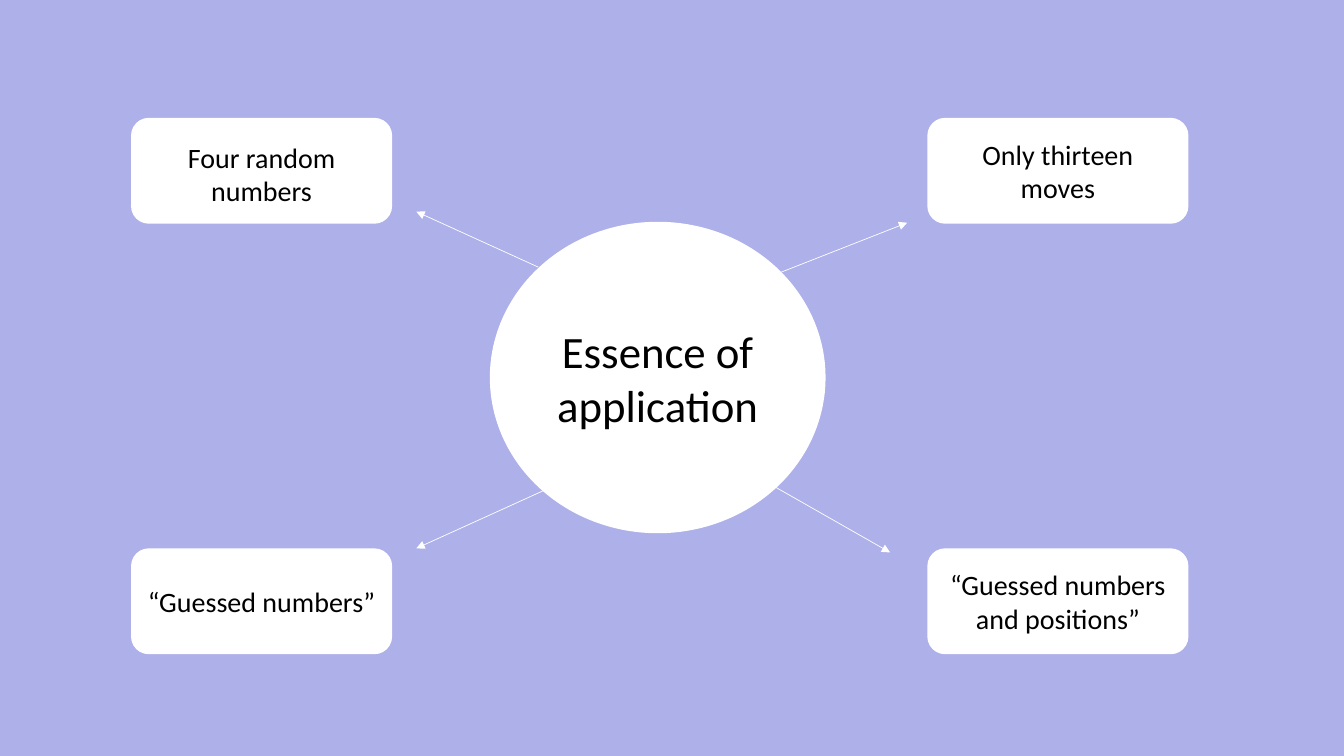
import pptx
import pptx.util
import pptx.dml.color
import pptx.enum.shapes
import pptx.enum.text
import pptx.oxml
import pptx.oxml.ns

Pt = pptx.util.Pt
SHAPE = pptx.enum.shapes.MSO_SHAPE
ANCHOR = pptx.enum.text.MSO_ANCHOR

# Content
CENTRE_TEXT = "Essence of application"
FLOATING_LABEL = "Four random numbers"
# (column, row, text); the top left box carries a separate label
BOXES = [
    (0, 0, ""),
    (1, 1, "“Guessed numbers and positions”"),
    (0, 1, "“Guessed numbers”"),
    (1, 0, "Only thirteen moves"),
]
# (start x, start y, end x, end y)
ARROWS = [
    (384.5, 190.8, 297.4, 151.2),
    (558, 194.4, 648, 159.1),
    (391, 349.2, 297.4, 391.7),
    (552.2, 347, 635.8, 394.6),
]

THEME = {
    "font": "Calibri",
    "background": "ADB0E9",
    "panel": "FFFFFF",
    "text": "000000",
    "centre_size": 32,
    "label_size": 20,
    "line_width": 0.5,
}

# Layout
SLIDE_W, SLIDE_H = 960, 540
CENTRE = (349.9, 158.4, 239.8, 222.5)
BOX_LEFT, BOX_TOP = 93.6, 84.2
BOX_W, BOX_H = 186.5, 75.6
COLUMN_STEP, ROW_STEP = 568.8, 307.5
LABEL = (110.9, 96.5, 151.9, 55.4)


def rgb(name):
    return pptx.dml.color.RGBColor.from_string(THEME[name])


def write_text(s, text, size="label_size", anchor=ANCHOR.MIDDLE):
    tf = s.text_frame
    tf.word_wrap = True
    tf.vertical_anchor = anchor
    p = tf.paragraphs[0]
    p.alignment = pptx.enum.text.PP_ALIGN.CENTER
    r = p.add_run()
    r.text = text
    r.font.name = THEME["font"]
    r.font.size = Pt(THEME[size])
    r.font.color.rgb = rgb("text")


def add_panel(sp, kind, frame):
    s = sp.add_shape(kind, *map(Pt, frame))
    s.shadow.inherit = False
    s.fill.solid()
    s.fill.fore_color.rgb = rgb("panel")
    s.line.fill.background()
    return s


def add_arrow(sp, ends):
    s = sp.add_connector(pptx.enum.shapes.MSO_CONNECTOR.STRAIGHT, *map(Pt, ends))
    s.line.color.rgb = rgb("panel")
    s.line.width = Pt(THEME["line_width"])
    qn = pptx.oxml.ns.qn
    head = s.line._get_or_add_ln().makeelement(qn("a:tailEnd"), {"type": "triangle"})
    s.line._get_or_add_ln().append(head)
    s._element.spPr.append(head.makeelement(qn("a:effectLst"), {}))


def main():
    prs = pptx.Presentation()
    prs.slide_width, prs.slide_height = Pt(SLIDE_W), Pt(SLIDE_H)
    slide = prs.slides.add_slide(prs.slide_layouts[6])
    slide.background.fill.solid()
    slide.background.fill.fore_color.rgb = rgb("background")
    sp = slide.shapes

    # Central idea
    write_text(add_panel(sp, SHAPE.OVAL, CENTRE), CENTRE_TEXT, size="centre_size")

    # Corner boxes
    for column, row, text in BOXES:
        left = BOX_LEFT + column * COLUMN_STEP
        top = BOX_TOP + row * ROW_STEP
        s = add_panel(sp, SHAPE.ROUNDED_RECTANGLE, (left, top, BOX_W, BOX_H))
        if text:
            write_text(s, text)

    # Label over the top left box
    write_text(sp.add_textbox(*map(Pt, LABEL)), FLOATING_LABEL, anchor=ANCHOR.TOP)

    # Arrows from the centre to the boxes
    for ends in ARROWS:
        add_arrow(sp, ends)

    prs.save("out.pptx")


if __name__ == "__main__":
    main()
